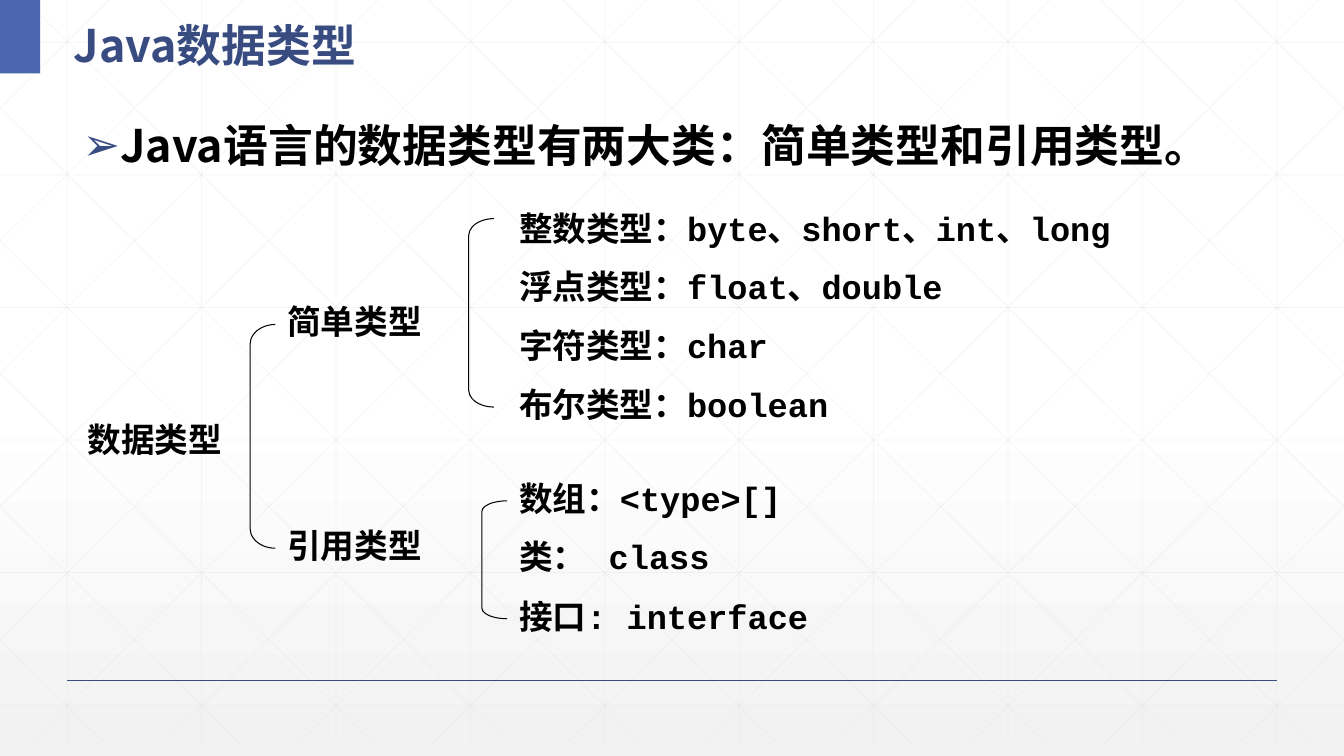
import pptx
import pptx.dml.color
import pptx.enum.shapes
import pptx.enum.text
import pptx.oxml
import pptx.oxml.ns
import pptx.util

Pt = pptx.util.Pt
WIDTH, HEIGHT = 960, 540
GRID_BOTTOM = 530.6
GRID_STEP = 96
SLOPE = 0.9887
SANS, MONO = "Noto Sans CJK SC", "Courier New"
NAVY, BLUE, BLACK, GREY = "384C81", "4A66AC", "000000", "D9D9D9"

LABELS = [
    ("数据类型", 62.6, 299.5, 111.6, 58),
    ("简单类型", 205.2, 215.3, 111.6, 58),
    ("引用类型", 205.2, 375.1, 111.6, 58),
    ("整数类型：byte、short、int、long", 370.8, 148.3, 490.3, 58),
    ("浮点类型：float、double", 370.8, 190.1, 409.7, 29),
    ("字符类型：char", 370.8, 231.8, 240.5, 29),
    ("布尔类型：boolean", 370.8, 274.3, 311.8, 29),
    ("数组：<type>[]", 370.8, 341.3, 276.5, 29),
    ("类：\tclass", 370.8, 383, 213.8, 29),
    ("接口: interface", 370.8, 425.5, 231.8, 58),
]
BRACKETS = [
    (178.6, 231.8, 159.8, 0.79),
    (334.8, 156.2, 134.6, 0.67),
    (344.2, 357.8, 84.2, 0.42),
]


def color(hex_value):
    return pptx.dml.color.RGBColor.from_string(hex_value)


def append_xml(parent, tag, **attributes):
    child = parent.makeelement(pptx.oxml.ns.qn(tag), attributes)
    parent.append(child)
    return child


def set_background(slide):
    background = pptx.oxml.parse_xml(
        f'<p:bg {pptx.oxml.ns.nsdecls("p", "a")}><p:bgPr>'
        '<a:gradFill rotWithShape="1"><a:gsLst>'
        '<a:gs pos="0"><a:srgbClr val="FFFFFF"/></a:gs>'
        '<a:gs pos="53000"><a:srgbClr val="FFFFFF"/></a:gs>'
        '<a:gs pos="100000"><a:srgbClr val="F2F2F2"><a:alpha val="65000"/></a:srgbClr></a:gs>'
        '</a:gsLst><a:lin ang="5400000" scaled="0"/></a:gradFill>'
        '<a:effectLst/></p:bgPr></p:bg>'
    )
    slide.element.cSld.insert(0, background)


def add_line(shapes, x1, y1, x2, y2, hex_value, weight, opacity=None):
    line = shapes.add_connector(
        pptx.enum.shapes.MSO_CONNECTOR.STRAIGHT, Pt(x1), Pt(y1), Pt(x2), Pt(y2)
    )
    line.line.color.rgb = color(hex_value)
    line.line.width = Pt(weight)
    properties = line.element.spPr
    if opacity is not None:
        tone = next(properties.iter(pptx.oxml.ns.qn("a:srgbClr")))
        append_xml(tone, "a:alpha", val=str(opacity * 1000))
    append_xml(properties, "a:effectLst")


def add_grid(slide):
    segments = [
        (48 + GRID_STEP * i, 0, 48 + GRID_STEP * i, GRID_BOTTOM) for i in range(10)
    ]
    segments += [(0, 30.2 + 94.7 * i, WIDTH, 30.2 + 94.7 * i) for i in range(6)]
    for i in range(-5, 10):
        top_x = 18 + GRID_STEP * i
        start_x = max(top_x, 0)
        end_x = min(top_x + GRID_BOTTOM / SLOPE, WIDTH)
        start_y, end_y = ((x - top_x) * SLOPE for x in (start_x, end_x))
        segments.append((start_x, start_y, end_x, end_y))
        segments.append((WIDTH - start_x, start_y, WIDTH - end_x, end_y))
    grid = slide.shapes.add_group_shape()
    for segment in segments:
        add_line(grid.shapes, *segment, GREY, 0.5, 25)


def add_corner_block(slide):
    corner = slide.shapes.add_shape(
        pptx.enum.shapes.MSO_SHAPE.RECTANGLE, 0, 0, Pt(28.8), Pt(52.5)
    )
    corner.shadow.inherit = False
    corner.fill.solid()
    corner.fill.fore_color.rgb = color(BLUE)
    corner.line.fill.background()


def style_paragraph(paragraph, size, face, hex_value):
    paragraph.alignment = pptx.enum.text.PP_ALIGN.LEFT
    font = paragraph.font
    font.size = Pt(size)
    font.bold = True
    font.color.rgb = color(hex_value)
    font.name = face
    defaults = paragraph._p.pPr.find(pptx.oxml.ns.qn("a:defRPr"))
    append_xml(defaults, "a:ea", typeface=SANS)


def fill_placeholder(slide, placeholder, text, left, top, width, height, anchor):
    slide.shapes.element.append(placeholder.element)
    placeholder.left, placeholder.top = Pt(left), Pt(top)
    placeholder.width, placeholder.height = Pt(width), Pt(height)
    frame = placeholder.text_frame
    frame.text = text
    frame.word_wrap = True
    frame.auto_size = pptx.enum.text.MSO_AUTO_SIZE.NONE
    frame.vertical_anchor = anchor
    paragraph = frame.paragraphs[0]
    paragraph.space_before = Pt(0)
    return paragraph


def add_bullet(paragraph, character, hex_value, indent):
    properties = paragraph._p.get_or_add_pPr()
    properties.set("marL", str(Pt(indent)))
    properties.set("indent", str(-Pt(indent)))
    append_xml(append_xml(properties, "a:buClr"), "a:srgbClr", val=hex_value)
    append_xml(properties, "a:buChar", char=character)


def add_label(shapes, text, left, top, width, height):
    label = shapes.add_textbox(Pt(left), Pt(top), Pt(width), Pt(height))
    frame = label.text_frame
    frame.margin_left = frame.margin_right = 0
    frame.margin_top = frame.margin_bottom = 0
    frame.word_wrap = True
    frame.auto_size = pptx.enum.text.MSO_AUTO_SIZE.SHAPE_TO_FIT_TEXT
    frame.text = text
    paragraph = frame.paragraphs[0]
    if "\t" in text:
        tabs = append_xml(paragraph._p.get_or_add_pPr(), "a:tabLst")
        append_xml(tabs, "a:tab", pos=str(Pt(64)), algn="l")
    style_paragraph(paragraph, 24, MONO, BLACK)


def add_bracket(shapes, left, top, height, curve):
    bracket = shapes.add_shape(
        pptx.enum.shapes.MSO_SHAPE.LEFT_BRACKET, Pt(left), Pt(top), Pt(18), Pt(height)
    )
    bracket.adjustments[0] = curve
    bracket.shadow.inherit = False
    bracket.fill.background()
    bracket.line.color.rgb = color(BLACK)
    bracket.line.width = Pt(0.75)


def main():
    presentation = pptx.Presentation()
    presentation.slide_width, presentation.slide_height = Pt(WIDTH), Pt(HEIGHT)
    slide = presentation.slides.add_slide(presentation.slide_layouts[1])
    set_background(slide)
    add_grid(slide)
    add_line(slide.shapes, 48, 486, 912, 486, NAVY, 1)
    add_corner_block(slide)

    title = fill_placeholder(
        slide, slide.shapes.title, "Java数据类型",
        45.4, 0, 409.7, 52.5, pptx.enum.text.MSO_ANCHOR.MIDDLE,
    )
    title.line_spacing = 1.3
    style_paragraph(title, 32, SANS, NAVY)

    statement = fill_placeholder(
        slide, slide.placeholders[1], "Java语言的数据类型有两大类：简单类型和引用类型。",
        51.8, 80.6, 845.3, 397.4, pptx.enum.text.MSO_ANCHOR.TOP,
    )
    add_bullet(statement, "➢", NAVY, 18)
    style_paragraph(statement, 32, SANS, BLACK)

    type_tree = slide.shapes.add_group_shape()
    for label in LABELS:
        add_label(type_tree.shapes, *label)
    for bracket in BRACKETS:
        add_bracket(type_tree.shapes, *bracket)

    presentation.save("out.pptx")


if __name__ == "__main__":
    main()
